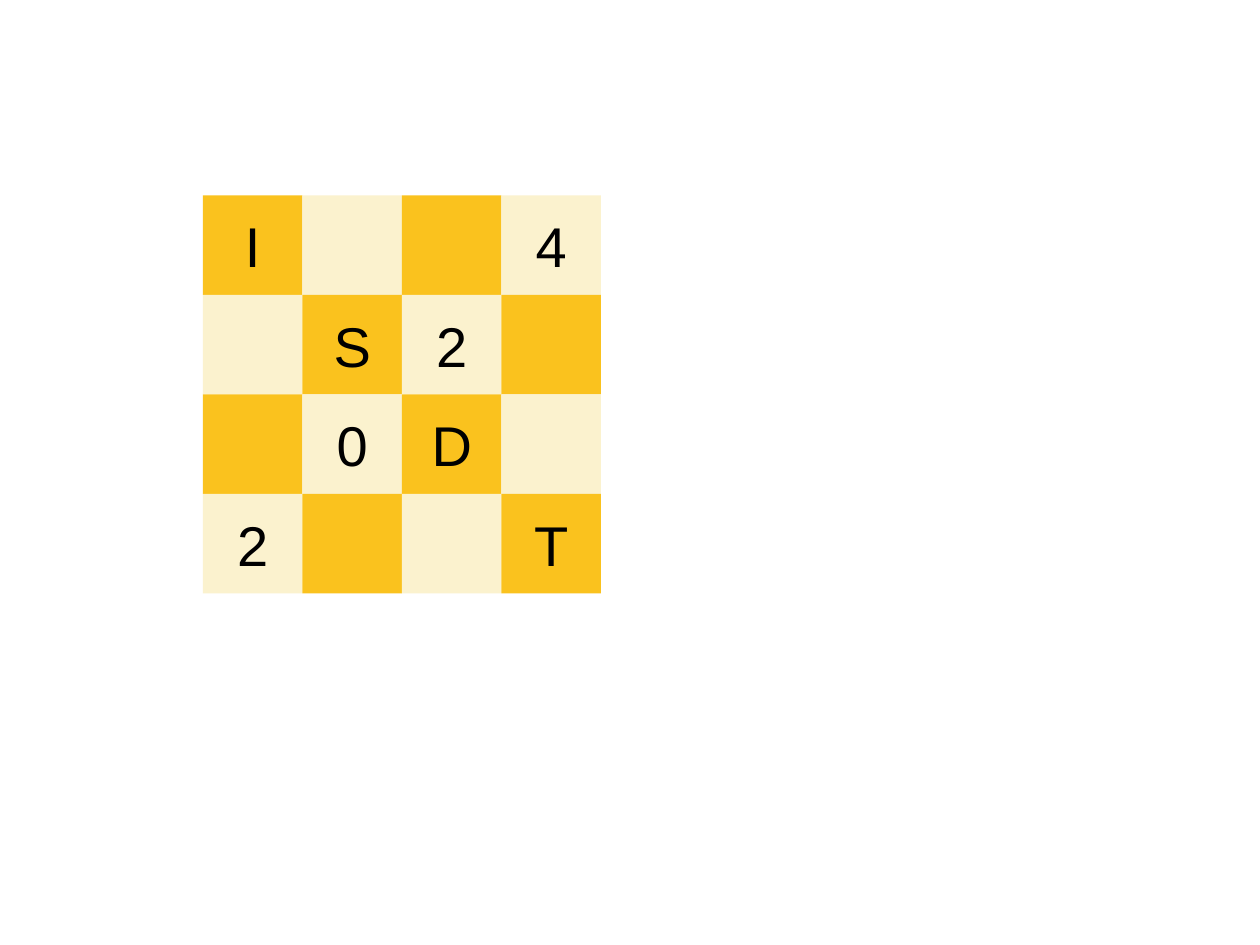
"""Build a slide with a four by four checkerboard of letters and digits."""
from pptx import Presentation
from pptx import util as u
from pptx.dml.color import RGBColor
from pptx.enum import shapes, text

BOARD = [
    ["I", "", "", "4"],
    ["", "S", "2", ""],
    ["", "0", "D", ""],
    ["2", "", "", "T"],
]
COLORS = {"gold": "FAC21E", "cream": "FBF2CE", "ink": "000000"}
FONT, SIZE = "Arial", 32
LEFT, TOP, CELL = u.Inches(1.61), u.Inches(1.55), u.Inches(0.79)


def add_square(group, row, col, label):
    sp = group.shapes.add_shape(
        shapes.MSO_SHAPE.RECTANGLE, LEFT + col * CELL, TOP + row * CELL, CELL, CELL
    )
    sp.shadow.inherit = False
    sp.fill.solid()
    shade = "cream" if (row + col) % 2 else "gold"
    sp.fill.fore_color.rgb = RGBColor.from_string(COLORS[shade])
    sp.line.fill.background()
    if label:
        tf = sp.text_frame
        tf.vertical_anchor = text.MSO_ANCHOR.MIDDLE
        p = tf.paragraphs[0]
        p.alignment = text.PP_ALIGN.CENTER
        r = p.add_run()
        r.text = label
        r.font.name = FONT
        r.font.size = u.Pt(SIZE)
        r.font.color.rgb = RGBColor.from_string(COLORS["ink"])


def main():
    prs = Presentation()
    prs.slide_width, prs.slide_height = u.Inches(10), u.Inches(7.5)
    s = prs.slides.add_slide(prs.slide_layouts[6])
    group = s.shapes.add_group_shape()
    for row, labels in enumerate(BOARD):
        for col, label in enumerate(labels):
            add_square(group, row, col, label)
    prs.save("out.pptx")


if __name__ == "__main__":
    main()
